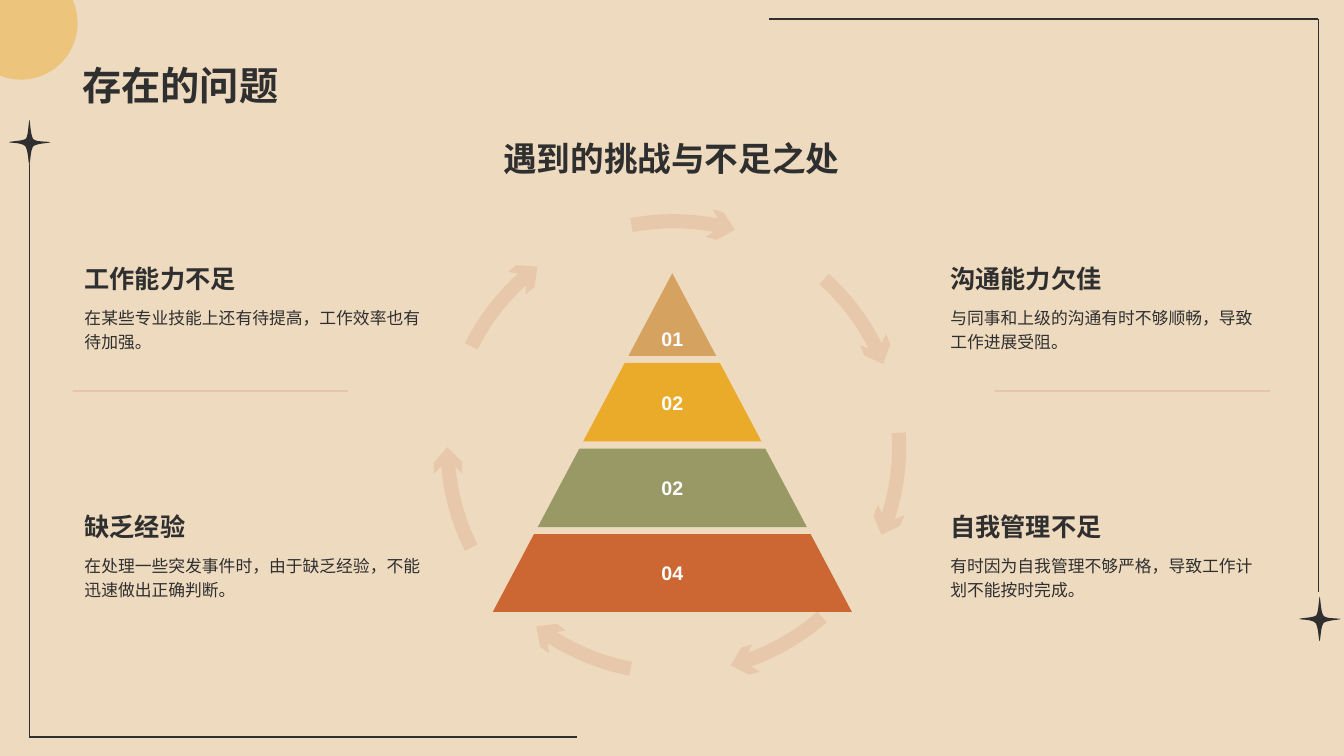
"""Builds a slide with a four-tier pyramid of work problems inside a ring of arrows."""
from math import cos, radians, sin

from lxml import etree
from pptx import Presentation
from pptx import util as u
from pptx.dml.color import RGBColor
from pptx.enum import shapes, text
from pptx.oxml.ns import qn

COLORS = {"sand": "EEDABF", "ink": "2F2F2F", "tan": "D5A260", "gold": "EBAB2A",
          "olive": "999966", "rust": "CC6633", "white": "FFFFFF"}
FONT = "Arial"
TITLE = "存在的问题"
SUBTITLE = "遇到的挑战与不足之处"
PROBLEMS = [
    ("工作能力不足", "在某些专业技能上还有待提高，工作效率也有待加强。"),
    ("沟通能力欠佳", "与同事和上级的沟通有时不够顺畅，导致工作进展受阻。"),
    ("缺乏经验", "在处理一些突发事件时，由于缺乏经验，不能迅速做出正确判断。"),
    ("自我管理不足", "有时因为自我管理不够严格，导致工作计划不能按时完成。"),
]
COLUMNS = [(0.74, 3.56), (9.33, 3.26)]
ROWS = [1.97, 4.43]
TIERS = [("01", "tan", 2.71, 3.53), ("02", "gold", 3.6, 4.38),
         ("02", "olive", 4.45, 5.23), ("04", "rust", 5.3, 6.07)]
APEX = (6.67, 2.71)
SLOPE = 0.53
FRAME = [(0.29, 7.31, 0.29, 1.63), (0.29, 7.31, 5.72, 7.31),
         (13.08, 0.19, 13.08, 5.87), (13.08, 0.19, 7.63, 0.19)]
DIVIDERS = [(3.45, 3.88, 0.72, 3.88), (12.6, 3.88, 9.87, 3.88)]
RING = (6.68, 4.435)
ARROW_ANGLES = [-10.7, 41.9, 86.4, 138.8, 190.9, 243.5, 296.5]
ARROW_HEAD = [(2.31, 21.7), (2.39, 20.1), (2.38, 22.8), (2.24, 26.5),
              (2.1, 22.5), (2.11, 19.4), (2.17, 21.3)]
STARS = [(0.09, 1.19), (12.89, 5.92)]
STAR_START = (0.41, 0.22)
STAR_CURVES = [
    (0.41, 0.21, 0.29, 0.22, 0.25, 0.18), (0.22, 0.14, 0.22, 0.01, 0.21, 0),
    (0.2, 0, 0.2, 0.14, 0.17, 0.18), (0.13, 0.21, 0, 0.21, 0, 0.22),
    (0.06, 0.23, 0.13, 0.22, 0.17, 0.25), (0.2, 0.29, 0.2, 0.44, 0.21, 0.44),
    (0.22, 0.38, 0.22, 0.3, 0.24, 0.26), (0.25, 0.23, 0.41, 0.23, 0.41, 0.22),
]


def cm(inches):
    return u.Cm(inches * 2.54)


def rgb(name):
    return RGBColor.from_string(COLORS[name])


def set_alpha(fill_parent, percent):
    color = next(fill_parent.iter(qn("a:srgbClr")))
    etree.SubElement(color, qn("a:alpha")).set("val", str(percent * 1000))


def add_outline(s, points, color, alpha=None):
    points = [(cm(x), cm(y)) for x, y in points]
    builder = s.shapes.build_freeform(*points[0], scale=1.0)
    builder.add_line_segments(points[1:], close=True)
    sp = builder.convert_to_shape()
    sp.shadow.inherit = False
    sp.fill.solid()
    sp.fill.fore_color.rgb = rgb(color)
    sp.line.fill.background()
    if alpha:
        set_alpha(sp._element.spPr, alpha)
    return sp


def add_line(s, ends, color, width, alpha=None):
    line = s.shapes.add_connector(shapes.MSO_CONNECTOR.STRAIGHT, *map(cm, ends))
    line.line.color.rgb = rgb(color)
    line.line.width = u.Pt(width)
    if alpha:
        set_alpha(line._element.spPr, alpha)
    etree.SubElement(line._element.spPr, qn("a:effectLst"))


def write(tf, content, size, color="ink", bold=False, anchor="TOP",
          align="LEFT", spacing=1.0, wrap=True):
    tf.word_wrap = wrap
    tf.vertical_anchor = text.MSO_ANCHOR[anchor]
    tf.text = content
    p = tf.paragraphs[0]
    p.alignment = text.PP_ALIGN[align]
    p.line_spacing = spacing
    font = p.runs[0].font
    font.name, font.size, font.bold = FONT, u.Pt(size), bold
    font.color.rgb = rgb(color)


def add_text(s, box, content, size, **style):
    write(s.shapes.add_textbox(*map(cm, box)).text_frame, content, size, **style)


def polar(center, radius, degrees):
    a = radians(degrees)
    return center[0] + radius * sin(a), center[1] - radius * cos(a)


def arrow_points(start):
    outer = [(2.31, step) for step in range(0, 21, 2)]
    inner = [(2.17, step) for step in range(20, -1, -2)]
    return [polar(RING, r, start + a) for r, a in outer + ARROW_HEAD + inner]


def star_points(left, top):
    points, (x0, y0) = [STAR_START], STAR_START
    for x1, y1, x2, y2, x3, y3 in STAR_CURVES:
        for t in (k / 8 for k in range(1, 9)):
            w = ((1 - t) ** 3, 3 * t * (1 - t) ** 2, 3 * t * t * (1 - t), t ** 3)
            points.append((w[0] * x0 + w[1] * x1 + w[2] * x2 + w[3] * x3,
                           w[0] * y0 + w[1] * y1 + w[2] * y2 + w[3] * y3))
        x0, y0 = x3, y3
    return [(left + x, top + y) for x, y in points]


def main():
    prs = Presentation()
    prs.slide_width, prs.slide_height = cm(13.333), cm(7.5)
    s = prs.slides.add_slide(prs.slide_layouts[6])
    s.background.fill.solid()
    s.background.fill.fore_color.rgb = rgb("sand")

    for ends in FRAME:
        add_line(s, ends, "ink", 1)
    for corner in STARS:
        add_outline(s, star_points(*corner), "ink").rotation = 180
    sun = [polar((0.21, 0.23), 0.56, a) for a in range(66, 203, 4)]
    add_outline(s, [(0, 0), (0.73, 0)] + sun + [(0, 0.75)], "gold", 45)

    add_text(s, (0.72, 1.24, 11.88, 0.7), SUBTITLE, 24, bold=True,
             align="CENTER", spacing=1.2)
    for angle in ARROW_ANGLES:
        add_outline(s, arrow_points(angle), "rust", 15)
    for ends in DIVIDERS:
        add_line(s, ends, "rust", 0.5, 50)

    x, peak = APEX
    for i, (label, color, top, bottom) in enumerate(TIERS):
        a, b = (top - peak) * SLOPE, (bottom - peak) * SLOPE
        tier = add_outline(s, [(x - a, top), (x + a, top), (x + b, bottom),
                               (x - b, bottom)], color)
        write(tier.text_frame, label, 14, color="white", bold=True,
              anchor="MIDDLE" if i else "BOTTOM", align="CENTER", wrap=False)

    for i, (heading, body) in enumerate(PROBLEMS):
        left, width = COLUMNS[i % 2]
        top = ROWS[i // 2]
        add_text(s, (left, top, width, 0.99), heading, 18, bold=True, anchor="BOTTOM")
        add_text(s, (left, top + 0.99, width, 0.77), body, 12, spacing=1.2)
    add_text(s, (0.72, 0.14, 11.88, 0.98), TITLE, 28, bold=True, anchor="BOTTOM")
    prs.save("out.pptx")


if __name__ == "__main__":
    main()
